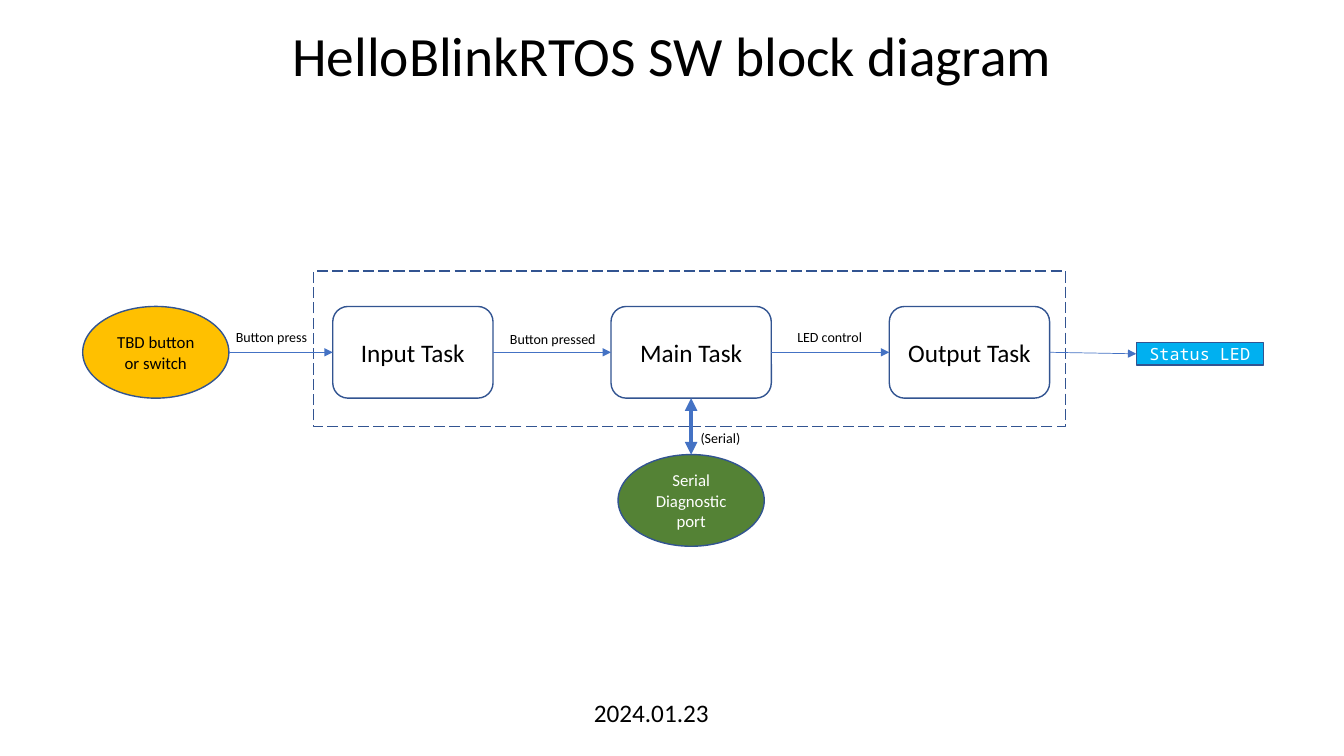
from lxml import etree
from pptx import Presentation
from pptx.dml.color import RGBColor
from pptx.enum.dml import MSO_LINE
from pptx.enum.shapes import MSO_CONNECTOR, MSO_SHAPE as SHAPE
from pptx.enum.text import MSO_ANCHOR as ANCHOR, PP_ALIGN as ALIGN
from pptx.oxml.ns import qn
from pptx.util import Inches, Pt

SLIDE_W, SLIDE_H = 13.33, 7.5
OUTLINE, ARROW = "325491", "4472C4"
BLACK, WHITE = "000000", "FFFFFF"
TOP, LEFT, BOTTOM, RIGHT = range(4)

TASKS = ["Input Task", "Main Task", "Output Task"]
TASK_W, TASK_H, TASK_STEP = 1.59, 0.91, 2.76
PORT_W = 1.45


def rgb(hex_color):
    return RGBColor.from_string(hex_color)


def write(shape, text, size, color=BLACK, font="Calibri", align=ALIGN.CENTER,
          anchor=ANCHOR.MIDDLE, wrap=True):
    tf = shape.text_frame
    tf.text = text
    tf.word_wrap = wrap
    tf.vertical_anchor = anchor
    p = tf.paragraphs[0]
    p.alignment = align
    f = p.runs[0].font
    f.size, f.name = Pt(size), font
    f.color.rgb = rgb(color)
    return p


def add_text(s, box, text, size, **style):
    tb = s.shapes.add_textbox(*map(Inches, box))
    return write(tb, text, size, **style)


def add_block(s, kind, box, fill=None):
    sp = s.shapes.add_shape(kind, *map(Inches, box))
    sp.shadow.inherit = False
    if fill:
        sp.fill.solid()
        sp.fill.fore_color.rgb = rgb(fill)
    else:
        sp.fill.background()
    sp.line.color.rgb = rgb(OUTLINE)
    sp.line.width = Pt(1)
    return sp


def add_arrow(s, start, end, width=0.5, both=False):
    """Draw an arrow between two (shape, side) pairs; only ellipse sides are left unglued."""
    ends = []
    for sp, side in (start, end):
        dx, dy = [(0.5, 0), (0, 0.5), (0.5, 1), (1, 0.5)][side]
        ends += [int(sp.left + dx * sp.width), int(sp.top + dy * sp.height)]
    cn = s.shapes.add_connector(MSO_CONNECTOR.STRAIGHT, *ends)
    for (sp, side), connect in ((start, cn.begin_connect), (end, cn.end_connect)):
        if sp.auto_shape_type != SHAPE.OVAL or side == TOP:
            connect(sp, side)
    cn.line.color.rgb = rgb(ARROW)
    cn.line.width = Pt(width)
    ln = cn.line._get_or_add_ln()
    for tag in ["a:headEnd", "a:tailEnd"] if both else ["a:tailEnd"]:
        etree.SubElement(ln, qn(tag), type="triangle")
    etree.SubElement(cn._element.spPr, qn("a:effectLst"))


def add_tasks(s, x, y, w, h):
    """Draw the dashed software frame with its row of tasks and return the tasks."""
    tasks = []
    for i, name in enumerate(TASKS):
        box = (x + 0.19 + i * TASK_STEP, y + 0.35, TASK_W, TASK_H)
        task = add_block(s, SHAPE.ROUNDED_RECTANGLE, box)
        write(task, name, 18)
        tasks.append(task)
    frame = add_block(s, SHAPE.RECTANGLE, (x, y, w, h))
    frame.line.dash_style = MSO_LINE.LONG_DASH
    return tasks


def add_ports(s, x, y, w):
    """Draw the button, the serial port and the LED around the tasks and return them."""
    button = add_block(s, SHAPE.OVAL, (x, y, PORT_W, TASK_H), "FFC000")
    write(button, "TBD button or switch", 12)
    serial = add_block(s, SHAPE.OVAL, (x + 5.31, y + 1.47, PORT_W, TASK_H), "548235")
    write(serial, "Serial Diagnostic port", 12, WHITE)
    led = add_block(s, SHAPE.RECTANGLE, (x + w - 1.26, y + 0.36, 1.26, 0.22), "00B0F0")
    write(led, "Status LED", 12, WHITE, "Noto Sans Mono")
    return button, serial, led


def add_signals(s, tasks, ports):
    input_task, main_task, output_task = tasks
    button, serial, led = ports
    add_arrow(s, (button, RIGHT), (input_task, LEFT))
    add_arrow(s, (input_task, RIGHT), (main_task, LEFT))
    add_arrow(s, (main_task, RIGHT), (output_task, LEFT), width=1)
    add_arrow(s, (output_task, RIGHT), (led, LEFT))
    add_arrow(s, (main_task, BOTTOM), (serial, TOP), width=3, both=True)
    for text, x, y, w in [("Button press", 2.24, 3.21, 1.06),
                          ("Button pressed", 4.96, 3.23, 1.07),
                          ("LED control", 7.81, 3.21, 0.86),
                          ("(Serial)", 6.85, 4.21, 0.6)]:
        add_text(s, (x, y, w, 0.27), text, 10, align=ALIGN.LEFT,
                 anchor=ANCHOR.TOP, wrap=text == "Button press")


def add_diagram_slide(prs):
    s = prs.slides.add_slide(prs.slide_layouts[6])
    title = add_text(s, (SLIDE_W / 8, 0.17, SLIDE_W * 0.75, 0.76),
                     "HelloBlinkRTOS SW block diagram", 39.6, anchor=ANCHOR.BOTTOM)
    title.line_spacing = 0.9
    tasks = add_tasks(s, 3.11, 2.69, 7.46, 1.54)
    ports = add_ports(s, 0.82, 3.04, 11.71)
    add_signals(s, tasks, ports)
    add_text(s, (5.77, 6.87, 1.38, 0.4), "2024.01.23", 18, anchor=ANCHOR.TOP)


def main():
    prs = Presentation()
    prs.slide_width, prs.slide_height = Inches(SLIDE_W), Inches(SLIDE_H)
    add_diagram_slide(prs)
    prs.save("out.pptx")


if __name__ == "__main__":
    main()
